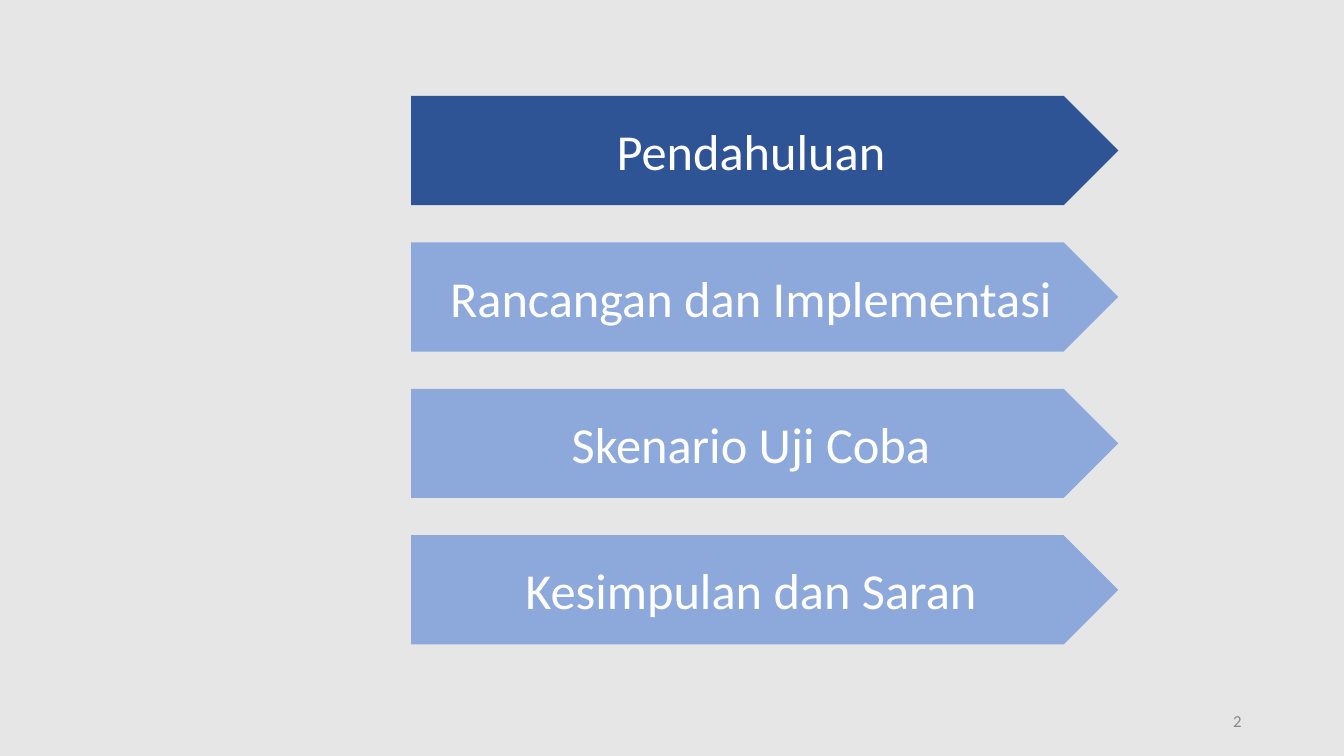
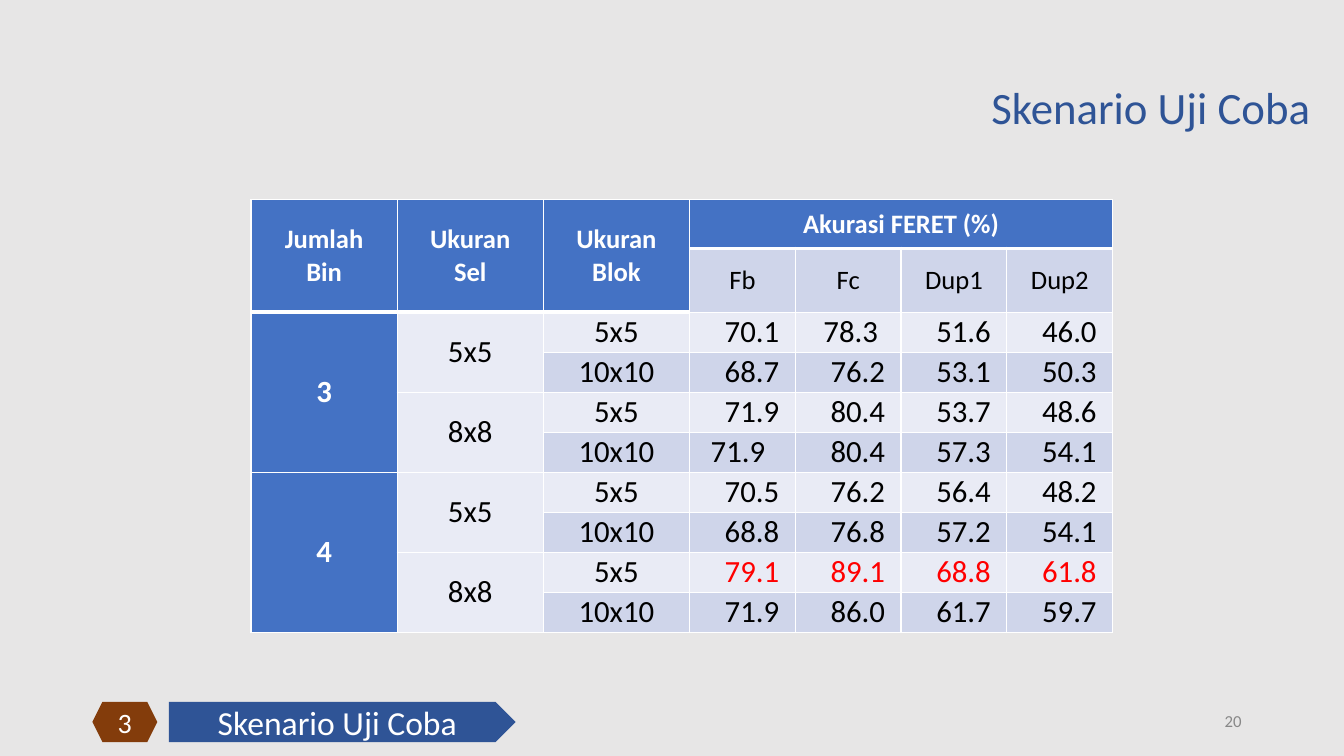
"""Build two slides: the agenda and the table of test results."""
import pptx
import pptx.util
import pptx.oxml
import pptx.oxml.ns
import pptx.dml.color
import pptx.enum.shapes
import pptx.enum.text

Pt = pptx.util.Pt
SHAPE = pptx.enum.shapes.MSO_SHAPE
ALIGN = pptx.enum.text.PP_ALIGN
MIDDLE = pptx.enum.text.MSO_ANCHOR.MIDDLE
TOP = pptx.enum.text.MSO_ANCHOR.TOP

FONT = "Calibri"
COLORS = {
    "back": "E7E6E6", "navy": "2F5496", "pale": "8DA9DB", "rust": "833C0B",
    "white": "FFFFFF", "gray": "888888", "black": "000000", "red": "FF0000",
    "blue": "4472C4", "light": "E9EBF5", "dark": "CFD5EA",
}

STEPS = ["Pendahuluan", "Rancangan dan Implementasi",
         "Skenario Uji Coba", "Kesimpulan dan Saran"]
HEADS = ["Jumlah Bin", "Ukuran Sel", "Ukuran Blok"]
SETS = ["Fb", "Fc", "Dup1", "Dup2"]
BINS = ["3", "4"]
CELLS = ["5x5", "8x8"]
BLOCKS = ["5x5", "10x10"]
SCORES = [
    ["70.1", "78.3", "51.6", "46.0"],
    ["68.7", "76.2", "53.1", "50.3"],
    ["71.9", "80.4", "53.7", "48.6"],
    ["71.9", "80.4", "57.3", "54.1"],
    ["70.5", "76.2", "56.4", "48.2"],
    ["68.8", "76.8", "57.2", "54.1"],
    ["79.1", "89.1", "68.8", "61.8"],
    ["71.9", "86.0", "61.7", "59.7"],
]
BEST = 6
SHIFTS = {(0, 1): 5, (3, 0): 10}
WIDTHS = [104.4] * 3 + [75.6] * 4
HEIGHTS = [35, 37] + [28.6] * 8
MARGIN = 11.5


def color(name):
    return pptx.dml.color.RGBColor.from_string(COLORS[name])


def paint(fill, name):
    fill.solid()
    fill.fore_color.rgb = color(name)


def write(frame, text, size, tint, align=ALIGN.CENTER, bold=False):
    par = frame.paragraphs[0]
    par.text = text
    par.alignment = align
    par.font.name = FONT
    par.font.size = Pt(size)
    par.font.bold = bold
    par.font.color.rgb = color(tint)


def add_text(slide, box, text, size, tint, anchor):
    frame = slide.shapes.add_textbox(*map(Pt, box)).text_frame
    frame.word_wrap = True
    frame.vertical_anchor = anchor
    write(frame, text, size, tint, ALIGN.RIGHT)


def add_block(slide, kind, box, text, size, fill):
    shape = slide.shapes.add_shape(kind, *map(Pt, box))
    shape.shadow.inherit = False
    paint(shape.fill, fill)
    shape.line.fill.background()
    shape.text_frame.vertical_anchor = MIDDLE
    write(shape.text_frame, text, size, "white")


def add_slide(deck, number):
    slide = deck.slides.add_slide(deck.slide_layouts[6])
    add_text(slide, (678, 500.5, 216, 28.8), number, 12, "gray", MIDDLE)
    return slide


def add_footer(slide, number, text):
    add_block(slide, SHAPE.PENTAGON, (120.7, 501.3, 247.6, 28.8), text, 24, "navy")
    add_block(slide, SHAPE.HEXAGON, (66, 501.3, 46.4, 28.8), number, 20, "rust")


def edge(row, col):
    return 3 if row == (2 if col < 3 else 1) else 1


def add_lines(cell, row, col):
    props = cell._tc.get_or_add_tcPr()
    widths = {"L": 1, "R": 1, "T": edge(row, col), "B": edge(row + 1, col)}
    for side, width in widths.items():
        props.append(pptx.oxml.parse_xml(
            f'<a:ln{side} {pptx.oxml.ns.nsdecls("a")} w="{Pt(width)}"><a:solidFill>'
            f'<a:srgbClr val="{COLORS["white"]}"/></a:solidFill></a:ln{side}>'))


def cell_fill(row, col):
    if col == 0 or row == 0 or (row == 1 and col < 3):
        return "blue"
    return "dark" if row % 2 and col > 1 else "light"


def add_grid(slide, left, top):
    shape = slide.shapes.add_table(
        len(HEIGHTS), len(WIDTHS), Pt(left), Pt(top),
        Pt(sum(WIDTHS)), Pt(sum(HEIGHTS)))
    table = shape.table
    table.first_row = table.horz_banding = False
    for col, width in enumerate(WIDTHS):
        table.columns[col].width = Pt(width)
    for row, height in enumerate(HEIGHTS):
        table.rows[row].height = Pt(height)
        for col in range(len(WIDTHS)):
            cell = table.cell(row, col)
            add_lines(cell, row, col)
            paint(cell.fill, cell_fill(row, col))
            cell.vertical_anchor = MIDDLE
            cell.margin_left = cell.margin_right = Pt(MARGIN)
            cell.margin_top = cell.margin_bottom = 0
            write(cell.text_frame, "", 19 if row < 2 else 22, "black")
    return table


def put(table, row, col, text, size, tint, rows=1, cols=1, bold=False):
    cell = table.cell(row, col)
    if rows * cols > 1:
        cell.merge(table.cell(row + rows - 1, col + cols - 1))
    write(cell.text_frame, text, size, tint, bold=bold)


def fill_grid(table):
    for col, text in enumerate(HEADS):
        put(table, 0, col, text, 19, "white", rows=2, bold=True)
    put(table, 0, 3, "Akurasi FERET (%)", 19, "white", cols=4, bold=True)
    for col, text in enumerate(SETS, 3):
        put(table, 1, col, text, 19, "black")
    for item, text in enumerate(BINS):
        put(table, 2 + 4 * item, 0, text, 22, "white", rows=4, bold=True)
    for item, text in enumerate(CELLS * 2):
        put(table, 2 + 2 * item, 1, text, 22, "black", rows=2)
    for item, scores in enumerate(SCORES):
        put(table, 2 + item, 2, BLOCKS[item % 2], 22, "black")
        for col, score in enumerate(scores):
            cell = table.cell(2 + item, 3 + col)
            cell.margin_right = Pt(MARGIN + SHIFTS.get((item, col), 0))
            tint = "red" if item == BEST else "black"
            write(cell.text_frame, score, 22, tint, ALIGN.RIGHT)


def main():
    deck = pptx.Presentation()
    deck.slide_width, deck.slide_height = Pt(960), Pt(540)
    paint(deck.slide_master.background.fill, "back")

    slide = add_slide(deck, "2")
    for item, text in enumerate(STEPS):
        box = (293.6, 68.5 + 104.6 * item, 505.2, 78)
        add_block(slide, SHAPE.PENTAGON, box, text, 36, "pale" if item else "navy")

    slide = add_slide(deck, "20")
    add_text(slide, (275.8, 53.3, 667.4, 46), "Skenario Uji Coba", 32, "navy", TOP)
    add_footer(slide, "3", "Skenario Uji Coba")
    fill_grid(add_grid(slide, 179.3, 142.5))

    deck.save("out.pptx")


if __name__ == "__main__":
    main()
